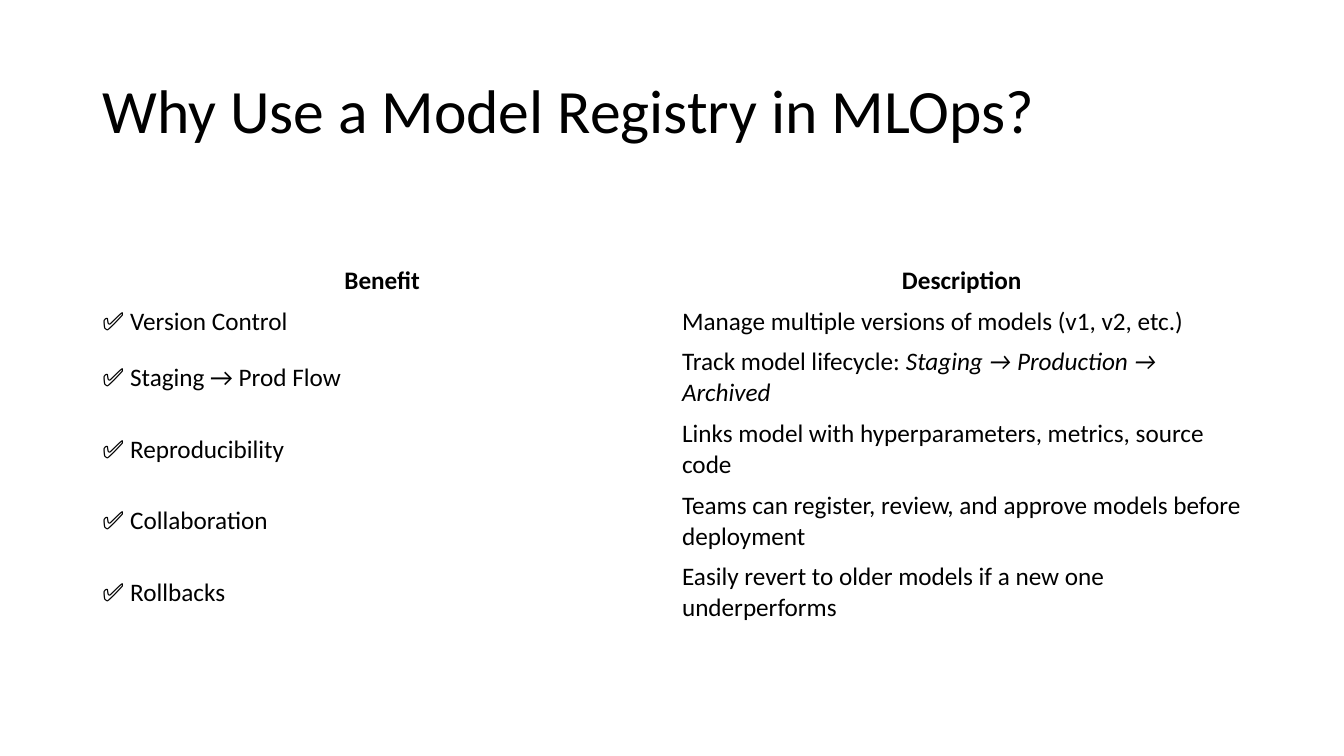
import pptx
import pptx.dml.color
import pptx.enum.text
import pptx.util

Pt = pptx.util.Pt
MIDDLE = pptx.enum.text.MSO_ANCHOR.MIDDLE
CENTER = pptx.enum.text.PP_ALIGN.CENTER
LEFT = pptx.enum.text.PP_ALIGN.LEFT
BLACK = pptx.dml.color.RGBColor(0x00, 0x00, 0x00)

MARGIN = 66
WIDTH = 828
ONE_LINE = 29.2
TWO_LINES = 51.2

BENEFITS = [
    ("Version Control", "Manage multiple versions of models (v1, v2, etc.)", "", ONE_LINE),
    ("Staging → Prod Flow", "Track model lifecycle: ", "Staging → Production → Archived", TWO_LINES),
    ("Reproducibility", "Links model with hyperparameters, metrics, source code", "", TWO_LINES),
    ("Collaboration", "Teams can register, review, and approve models before deployment", "", TWO_LINES),
    ("Rollbacks", "Easily revert to older models if a new one underperforms", "", TWO_LINES),
]


def add_text(p, text, size=18, bold=False, italic=False, align=LEFT):
    p.alignment = align
    r = p.add_run()
    r.text = text
    r.font.name = "Calibri"
    r.font.size = Pt(size)
    r.font.bold = bold
    r.font.italic = italic
    r.font.color.rgb = BLACK


prs = pptx.Presentation()
prs.slide_width = Pt(960)
prs.slide_height = Pt(540)
s = prs.slides.add_slide(prs.slide_layouts[6])

title = s.shapes.add_textbox(Pt(MARGIN), Pt(28.8), Pt(WIDTH), Pt(104.4))
tf = title.text_frame
tf.word_wrap = True
tf.vertical_anchor = MIDDLE
p = tf.paragraphs[0]
p.line_spacing = 0.9
add_text(p, "Why Use a Model Registry in MLOps?", size=44)

height = ONE_LINE + sum(benefit[3] for benefit in BENEFITS)
table = s.shapes.add_table(
    len(BENEFITS) + 1, 2, Pt(MARGIN), Pt(185.8), Pt(WIDTH), Pt(height)
).table
table.horz_banding = False
for cell in table.iter_cells():
    cell.fill.background()
    cell.vertical_anchor = MIDDLE

table.rows[0].height = Pt(ONE_LINE)
for col, heading in enumerate(["Benefit", "Description"]):
    p = table.cell(0, col).text_frame.paragraphs[0]
    add_text(p, heading, bold=True, align=CENTER)

for row, (benefit, description, stages, row_height) in enumerate(BENEFITS, 1):
    table.rows[row].height = Pt(row_height)
    add_text(table.cell(row, 0).text_frame.paragraphs[0], f"✅ {benefit}")
    p = table.cell(row, 1).text_frame.paragraphs[0]
    add_text(p, description)
    if stages:
        add_text(p, stages, italic=True)

prs.save("out.pptx")
